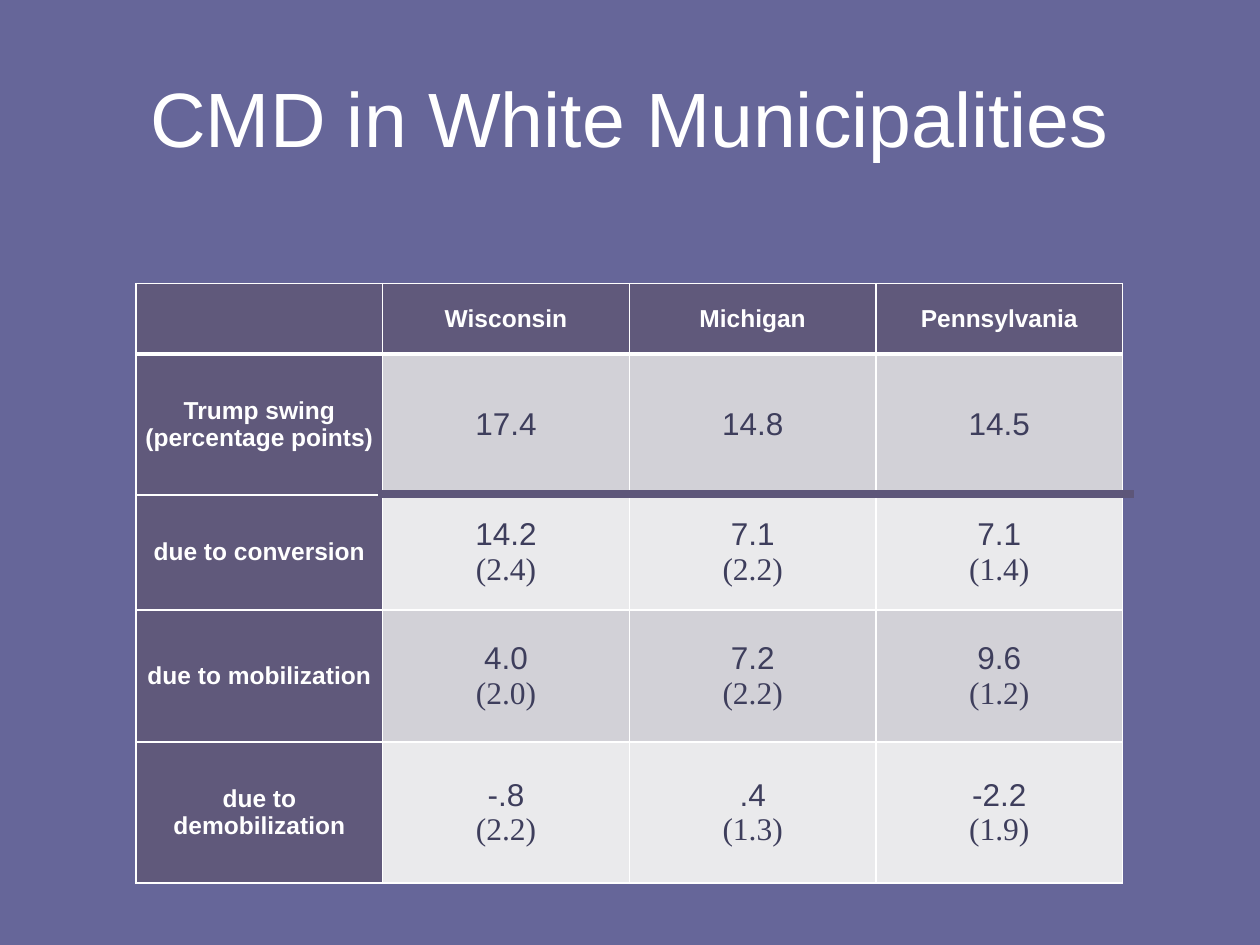
from lxml.etree import SubElement
from pptx import Presentation
from pptx.dml.color import RGBColor
from pptx.enum.shapes import MSO_CONNECTOR
from pptx.enum.text import MSO_ANCHOR, PP_ALIGN
from pptx.oxml.ns import qn
from pptx.util import Inches, Pt

THEME = {
    "background": "666699", "header": "60597B", "bands": ("D2D1D7", "EAEAEC"),
    "light": "FFFFFF", "dark": "3E3E5C", "rule": "5D5679",
    "sans": "Arial", "serif": "Times New Roman",
    "title_size": 44, "label_size": 14, "value_size": 18,
    "border": 1, "header_border": 3, "rule_width": 5,
}

TITLE = "CMD in White Municipalities"
ROWS = [
    ([], ["Wisconsin"], ["Michigan"], ["Pennsylvania"]),
    (["Trump swing", "(percentage points)"], ["17.4"], ["14.8"], ["14.5"]),
    (["due to conversion"], ["14.2", "(2.4)"], ["7.1", "(2.2)"], ["7.1", "(1.4)"]),
    (["due to mobilization"], ["4.0", "(2.0)"], ["7.2", "(2.2)"], ["9.6", "(1.2)"]),
    (["due to demobilization"], ["-.8", "(2.2)"], [".4", "(1.3)"], ["-2.2", "(1.9)"]),
]
ROW_HEIGHTS = [0.56, 1.12, 0.91, 1.05, 1.12]
LEFT, TOP, WIDTH = 1.08, 2.25, 7.83
RULE_LEFT, RULE_RIGHT = 3, 9


def color(name):
    return RGBColor.from_string(THEME[name])


def add_text(p, text, font, size, color_name, bold=False):
    p.alignment = PP_ALIGN.CENTER
    r = p.add_run()
    r.text = text
    r.font.name = THEME[font]
    r.font.size = Pt(THEME[size])
    r.font.bold = bold
    r.font.color.rgb = color(color_name)


def set_borders(cell, header):
    tc_pr = cell._tc.get_or_add_tcPr()
    for side in "LRTB":
        thick = header and side == "B"
        width = THEME["header_border" if thick else "border"]
        ln = SubElement(tc_pr, qn(f"a:ln{side}"), w=str(Pt(width)))
        fill = SubElement(ln, qn("a:solidFill"))
        SubElement(fill, qn("a:srgbClr"), val=THEME["light"])


def fill_cell(cell, lines, row, col):
    is_label = row == 0 or col == 0
    set_borders(cell, row == 0)
    cell.fill.solid()
    fill = THEME["header"] if is_label else THEME["bands"][(row - 1) % 2]
    cell.fill.fore_color.rgb = RGBColor.from_string(fill)
    cell.vertical_anchor = MSO_ANCHOR.MIDDLE
    cell.margin_left = cell.margin_right = Inches(0.07)
    cell.margin_top = cell.margin_bottom = 0
    tf = cell.text_frame
    for i, line in enumerate(lines):
        p = tf.add_paragraph() if i else tf.paragraphs[0]
        if is_label:
            add_text(p, line, "sans", "label_size", "light", True)
        else:
            add_text(p, line, "serif" if i else "sans", "value_size", "dark")


def add_results_table(s):
    table = s.shapes.add_table(
        len(ROWS), len(ROWS[0]), Inches(LEFT), Inches(TOP),
        Inches(WIDTH), Inches(sum(ROW_HEIGHTS))).table
    for row, (height, cells) in enumerate(zip(ROW_HEIGHTS, ROWS)):
        table.rows[row].height = Inches(height)
        for col, lines in enumerate(cells):
            fill_cell(table.cell(row, col), lines, row, col)


def add_rule(s):
    y = Inches(TOP + sum(ROW_HEIGHTS[:2]) - 0.01)
    line = s.shapes.add_connector(
        MSO_CONNECTOR.STRAIGHT, Inches(RULE_LEFT), y, Inches(RULE_RIGHT), y)
    line.line.color.rgb = color("rule")
    line.line.width = Pt(THEME["rule_width"])
    SubElement(line._element.spPr, qn("a:effectLst"))


def main():
    prs = Presentation()
    prs.slide_width, prs.slide_height = Inches(10), Inches(7.5)
    s = prs.slides.add_slide(prs.slide_layouts[5])
    s.background.fill.solid()
    s.background.fill.fore_color.rgb = color("background")

    title = s.shapes.title
    title.left, title.top = Inches(0.5), Inches(0.3)
    title.width, title.height = Inches(9), Inches(1.25)
    title.text_frame.vertical_anchor = MSO_ANCHOR.MIDDLE
    add_text(title.text_frame.paragraphs[0], TITLE, "sans", "title_size", "light")

    add_results_table(s)
    add_rule(s)
    prs.save("out.pptx")


if __name__ == "__main__":
    main()
